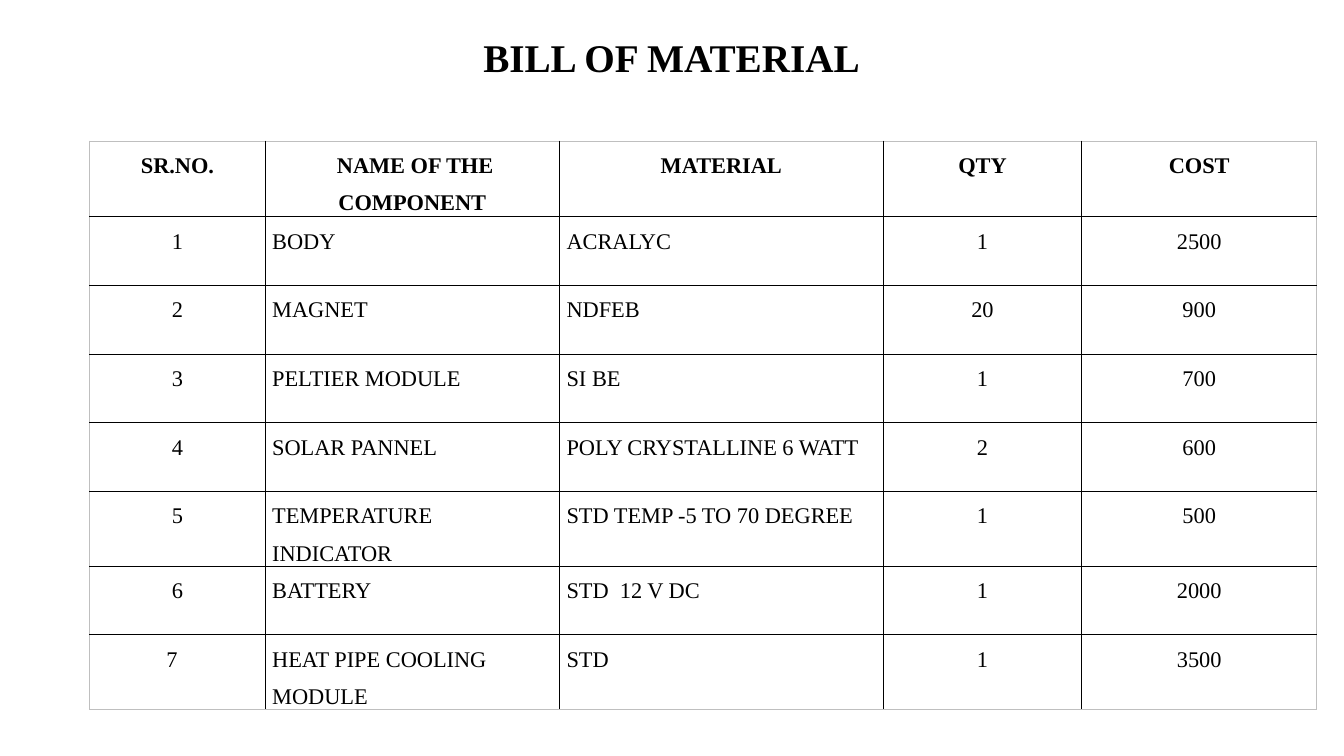
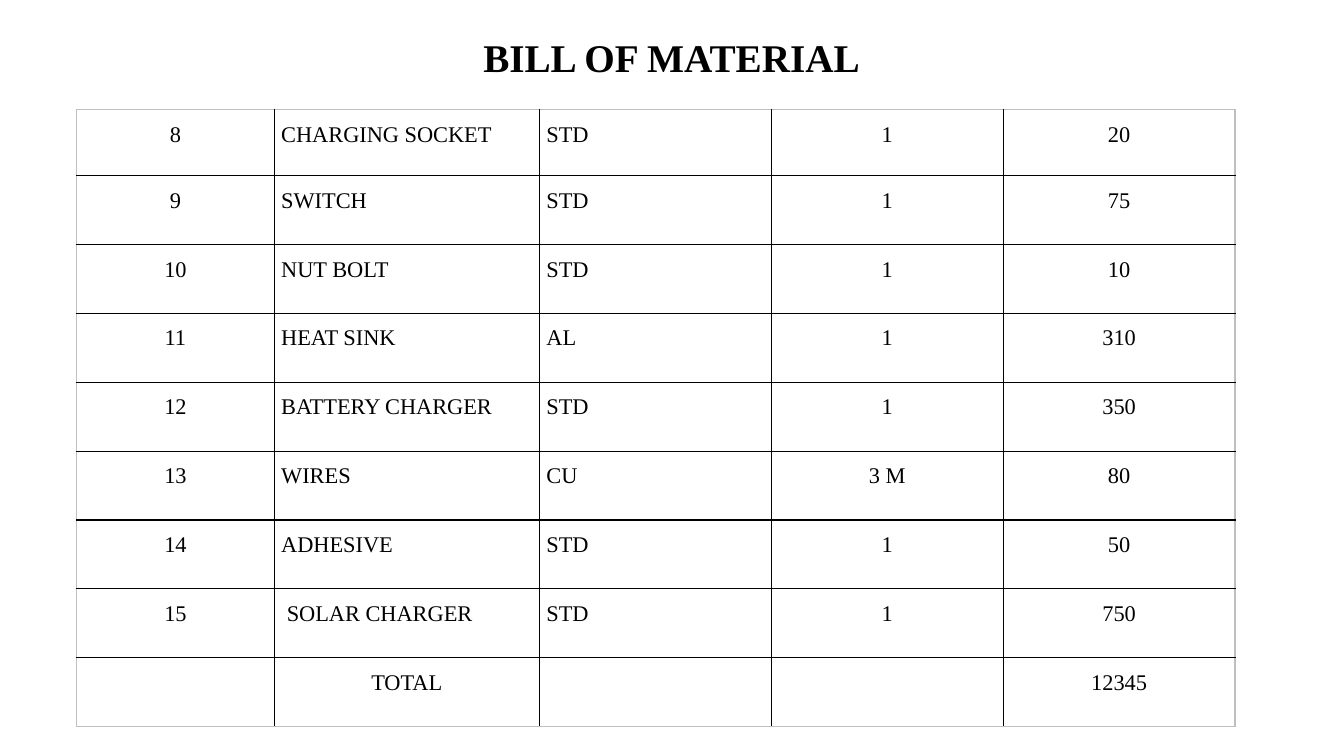
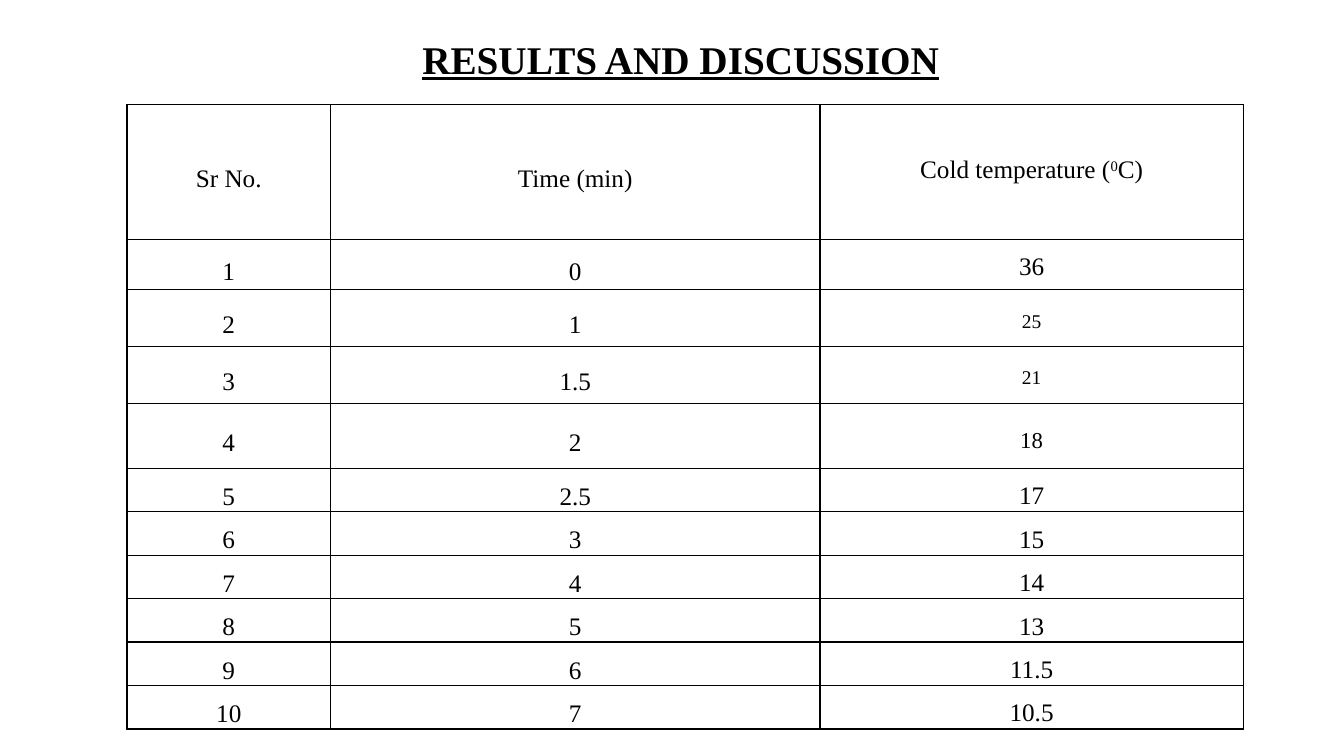
import pptx
import pptx.dml.color
import pptx.enum.text
import pptx.oxml
import pptx.oxml.ns
import pptx.util

FONT = "Times New Roman"
BLACK = "000000"
GREY = "BFBFBF"
SLIDE_SIZE = (13.33, 7.5)
TITLE_BOX = (1.08, 0.1, 11.16, 0.99)
ALIGN = pptx.enum.text.PP_ALIGN
ANCHOR = pptx.enum.text.MSO_ANCHOR
ALIGNMENTS = {"c": ALIGN.CENTER, "l": ALIGN.LEFT, "j": ALIGN.JUSTIFY}
ANCHORS = {"t": ANCHOR.TOP, "m": ANCHOR.MIDDLE}

COMPONENTS = [
    ["SR.NO.", " NAME OF THE COMPONENT", "MATERIAL", "QTY", "COST"],
    ["1", "BODY", "ACRALYC", "1", "2500"],
    ["2", "MAGNET", "NDFEB", "20", "900"],
    ["3", "PELTIER MODULE", "SI BE", "1", "700"],
    ["4", "SOLAR PANNEL", "POLY CRYSTALLINE 6 WATT", "2", "600"],
    ["5", "TEMPERATURE INDICATOR", "STD TEMP -5 TO 70 DEGREE", "1", "500"],
    ["6", "BATTERY", "STD  12 V DC", "1", "2000"],
    ["7", "HEAT PIPE COOLING MODULE", "STD", "1", "3500"],
]
MORE_COMPONENTS = [
    ["8", "CHARGING SOCKET", "STD", "1", "20"],
    ["9", "SWITCH", "STD", "1", "75"],
    ["10", "NUT BOLT", "STD", "1", "10"],
    ["11", "HEAT SINK", "AL", "1", "310"],
    ["12", "BATTERY CHARGER", "STD", "1", "350"],
    ["13", "WIRES", "CU", "3 M", "80"],
    ["14", "ADHESIVE", "STD", "1", "50"],
    ["15", " SOLAR CHARGER", "STD", "1", "750"],
    ["", "TOTAL", "", "", "12345"],
]
READINGS = [
    ["Sr No.", "Time (min)", "Cold temperature ("],
    ["1", "0", "36"],
    ["2", "1", "25"],
    ["3", "1.5", "21"],
    ["4", "2", "18"],
    ["5", "2.5", "17"],
    ["6", "3", "15"],
    ["7", "4", "14"],
    ["8", "5", "13"],
    ["9", "6", "11.5"],
    ["10", "7", "10.5"],
]


def style_run(run, size, bold=False, raised=False):
    """Give a run the deck's font, colour and the given size."""
    run.font.name = FONT
    run.font.size = pptx.util.Pt(size)
    run.font.bold = bold
    run.font.color.rgb = pptx.dml.color.RGBColor.from_string(BLACK)
    if raised:
        run.font._element.set("baseline", "30000")


def add_titled_slide(presentation, title, box=TITLE_BOX, underline=False):
    """Add a title-only slide and format its title."""
    slide = presentation.slides.add_slide(presentation.slide_layouts[5])
    shape = slide.shapes.title
    shape.left, shape.top, shape.width, shape.height = map(pptx.util.Inches, box)
    frame = shape.text_frame
    frame.text = title
    frame.auto_size = pptx.enum.text.MSO_AUTO_SIZE.NONE
    frame.vertical_anchor = ANCHOR.MIDDLE
    paragraph = frame.paragraphs[0]
    paragraph.alignment = ALIGN.CENTER
    paragraph.line_spacing = 0.9
    style_run(paragraph.runs[0], 28, bold=True)
    paragraph.runs[0].font.underline = underline
    return slide


def set_border(cell, side, colour):
    """Draw one edge of a cell."""
    namespace = pptx.oxml.ns.nsdecls("a")
    cell._tc.get_or_add_tcPr().append(pptx.oxml.parse_xml(
        f'<a:ln{side} {namespace} w="12700"><a:solidFill>'
        f'<a:srgbClr val="{colour}"/></a:solidFill></a:ln{side}>'))


def fill_cell(cell, text, size, alignment, anchor, bold, space_before, space_after):
    """Write and format the text of a cell."""
    cell.margin_left = cell.margin_right = pptx.util.Inches(0.07)
    cell.margin_top = cell.margin_bottom = 0
    cell.vertical_anchor = ANCHORS[anchor]
    cell.fill.background()
    cell.text_frame.text = text
    paragraph = cell.text_frame.paragraphs[0]
    paragraph.alignment = ALIGNMENTS[alignment]
    paragraph.line_spacing = 1.5
    paragraph.space_before = pptx.util.Pt(space_before)
    paragraph.space_after = pptx.util.Pt(space_after)
    for run in paragraph.runs:
        style_run(run, size, bold)


def add_grid(slide, box, columns, heights, rows, alignments, anchors,
             size=16, edge=GREY, bold_header=False, space_before=0, space_after=8):
    """Add a ruled table whose columns and rows share the box by weight."""
    left, top, width, height = map(pptx.util.Inches, box)
    table = slide.shapes.add_table(
        len(rows), len(columns), left, top, width, height).table
    table.first_row = table.horz_banding = False
    for column, weight in zip(table.columns, columns):
        column.width = int(width * weight / sum(columns))
    for row, weight in zip(table.rows, heights):
        row.height = int(height * weight / sum(heights))
    last_row, last_column = len(rows) - 1, len(columns) - 1
    for i, texts in enumerate(rows):
        for j, text in enumerate(texts):
            cell = table.cell(i, j)
            outer = {"L": j == 0, "R": j == last_column, "T": i == 0, "B": i == last_row}
            for side, is_outer in outer.items():
                set_border(cell, side, edge if is_outer else BLACK)
            header = bold_header and i == 0
            fill_cell(cell, text, size, "c" if header else alignments[j], anchors[j],
                      header, space_before, space_after)
    return table


def add_components_slide(presentation):
    """Add the first part of the bill of material."""
    slide = add_titled_slide(presentation, "BILL OF MATERIAL")
    table = add_grid(
        slide, (0.89, 1.4, 12.17, 5.64), [1.74, 2.92, 3.21, 1.97, 2.33],
        [0.75] + [0.68] * 4 + [0.74, 0.68, 0.74], COMPONENTS, "cljcc", "ttttt",
        bold_header=True)
    table.cell(7, 0).margin_right = pptx.util.Inches(0.18)


def add_total_slide(presentation):
    """Add the second part of the bill of material, with the total."""
    slide = add_titled_slide(presentation, "BILL OF MATERIAL")
    table = add_grid(
        slide, (0.76, 1.09, 11.49, 6.12), [1.96, 2.63, 2.3, 2.3, 2.3],
        [0.65] + [0.68] * 8, MORE_COMPONENTS, "cjjcc", "ttttt")
    table.cell(8, 1).text_frame.paragraphs[0].alignment = ALIGN.CENTER


def add_results_slide(presentation):
    """Add the table of measured temperatures."""
    slide = add_titled_slide(
        presentation, "RESULTS AND DISCUSSION", (1, 0.07, 11.5, 1.08), underline=True)
    table = add_grid(
        slide, (1.26, 1.04, 11.07, 6.19), [2.02, 4.86, 4.2],
        [1.33, 0.5, 0.56, 0.56, 0.64] + [0.43] * 6, READINGS, "ccc", "mmt",
        size=18, edge=BLACK, space_before=12, space_after=10)
    for cell in table.rows[0].cells:
        cell.text_frame.paragraphs[0].space_before = 0
        cell.text_frame.paragraphs[0].space_after = pptx.util.Pt(8)
    heading = table.cell(0, 2)
    heading.margin_top = pptx.util.Inches(0.37)
    for text, raised in (("0", True), ("C)", False)):
        run = heading.text_frame.paragraphs[0].add_run()
        run.text = text
        style_run(run, 18, raised=raised)
    for row, size in {2: 24, 3: 24, 4: 28}.items():
        style_run(table.cell(row, 2).text_frame.paragraphs[0].runs[0], size, raised=True)


def main():
    """Build and save the presentation."""
    presentation = pptx.Presentation()
    presentation.slide_width, presentation.slide_height = map(
        pptx.util.Inches, SLIDE_SIZE)
    add_components_slide(presentation)
    add_total_slide(presentation)
    add_results_slide(presentation)
    presentation.save("out.pptx")


if __name__ == "__main__":
    main()
